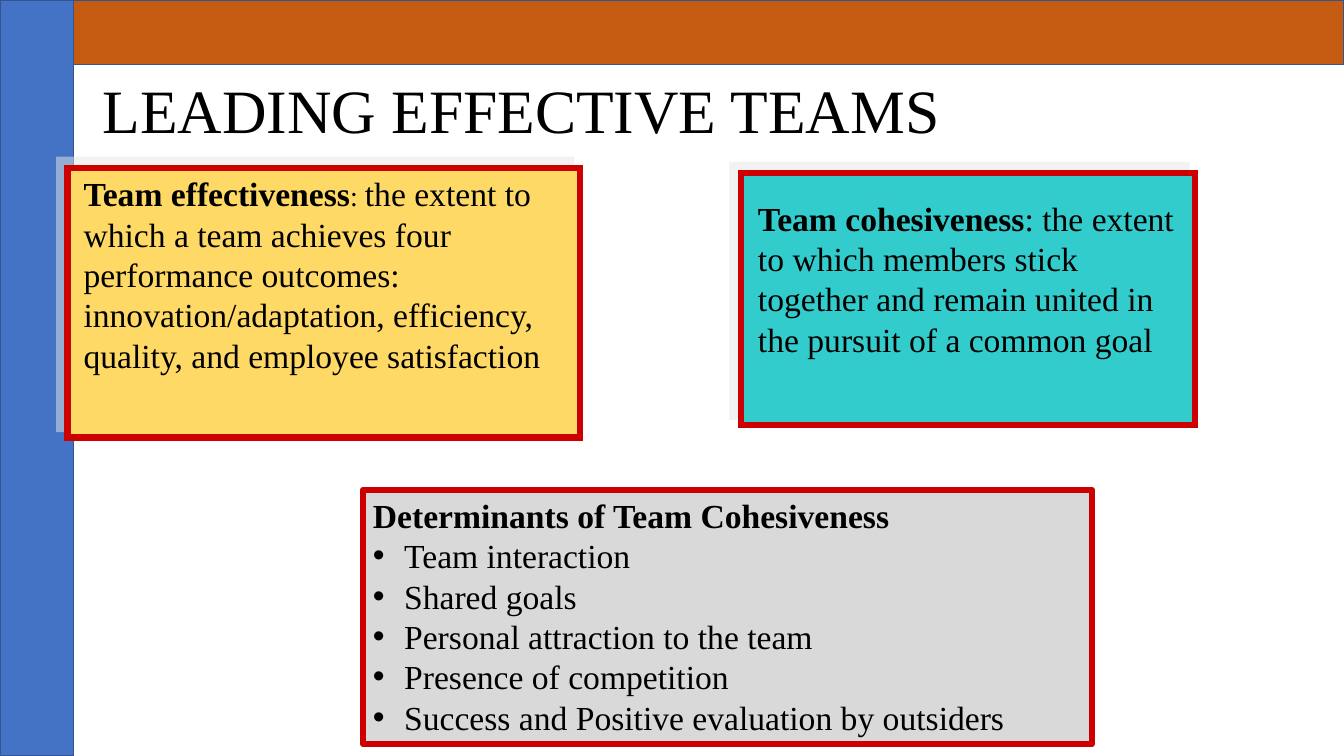
from lxml.etree import SubElement
from pptx import Presentation
from pptx.dml.color import RGBColor
from pptx.enum.shapes import MSO_SHAPE
from pptx.enum.text import MSO_ANCHOR, PP_ALIGN
from pptx.oxml.ns import qn
from pptx.util import Inches, Pt

deck = Presentation()
deck.slide_width, deck.slide_height = Inches(13.33), Inches(7.5)
slide = deck.slides.add_slide(deck.slide_layouts[6])
EDGE = 5.48  # side bar width, in percent of the slide


def place(x, y, w, h, fill=None, line="CC0000", weight=4.5, join="miter"):
    """Add a box at percent shares of the slide: a rectangle, or a text box if unfilled."""
    wide, high = deck.slide_width / 100, deck.slide_height / 100
    spot = [int(n) for n in (x * wide, y * high, w * wide, h * high)]
    if fill is None:
        return slide.shapes.add_textbox(*spot)
    box = slide.shapes.add_shape(MSO_SHAPE.RECTANGLE, *spot)
    box.shadow.inherit = False
    box.fill.solid()
    box.fill.fore_color.rgb = RGBColor.from_string(fill)
    box.line.color.rgb = RGBColor.from_string(line)
    box.line.width = Pt(weight)
    SubElement(box.line._ln, qn("a:" + join))
    return box


def write(box, paras, size=24, anchor=MSO_ANCHOR.TOP, space=1.0):
    """Fill a box with paragraphs of (text, bold, size) runs; a plain string is a bullet."""
    frame = box.text_frame
    frame.word_wrap = True
    frame.vertical_anchor = anchor
    for i, runs in enumerate(paras):
        para = frame.add_paragraph() if i else frame.paragraphs[0]
        para.alignment = PP_ALIGN.LEFT
        para.line_spacing = space
        if isinstance(runs, str):
            props = para._p.get_or_add_pPr()
            props.set("marL", str(Inches(0.31)))
            props.set("indent", str(-Inches(0.31)))
            SubElement(props, qn("a:buFont"), typeface="Arial")
            SubElement(props, qn("a:buChar"), char="•")
            runs = [(runs, False, size)]
        for text, bold, points in runs:
            run = para.add_run()
            run.text = text
            run.font.name = "Times New Roman"
            run.font.size = Pt(points)
            run.font.bold = bold
            run.font.color.rgb = RGBColor.from_string("000000")


title = place(6.9, 5.33, 86.26, 19.33)
write(title, [[("LEADING EFFECTIVE TEAMS", False, 44)]],
      anchor=MSO_ANCHOR.MIDDLE, space=0.9)

place(0, 0, EDGE, 100, "4472C4", "325491", 1)
place(EDGE, 0, 100 - EDGE, 8.53, "C55A11", "325491", 1)

cards = [((5.03, 22.27, 38.11, 35.6), "FFD966"),
         ((55.14, 22.93, 33.76, 33.33), "33CCCC")]
for spot, fill in cards:
    card = place(*spot, fill)
    glow = SubElement(card._element.spPr.find(qn("a:effectLst")), qn("a:outerShdw"),
                      dist=str(Pt(8.5)), dir=str(225 * 60000),
                      algn="br", rotWithShape="0")
    tint = SubElement(glow, qn("a:srgbClr"), val="E7E6E6")
    SubElement(tint, qn("a:alpha"), val="50000")

terms = [
    ((EDGE, 22.27, 38.26, 28.27), [
        ("Team effectiveness", True, 24),
        (": ", False, 20),
        ("the extent to which a team achieves four performance outcomes: "
         "innovation/adaptation, efficiency, quality, and employee satisfaction",
         False, 24)]),
    ((55.66, 25.47, 33.23, 22.93), [
        ("Team cohesiveness", True, 24),
        (": the extent to which members stick together and remain united "
         "in the pursuit of a common goal", False, 24)]),
]
for spot, runs in terms:
    write(place(*spot), [runs])

causes = place(27.01, 64.8, 54.24, 33.6, "D9D9D9", join="round")
write(causes, [
    [("Determinants of Team Cohesiveness", True, 24)],
    "Team interaction",
    "Shared goals",
    "Personal attraction to the team",
    "Presence of competition",
    "Success and Positive evaluation by outsiders",
])

deck.save("out.pptx")
